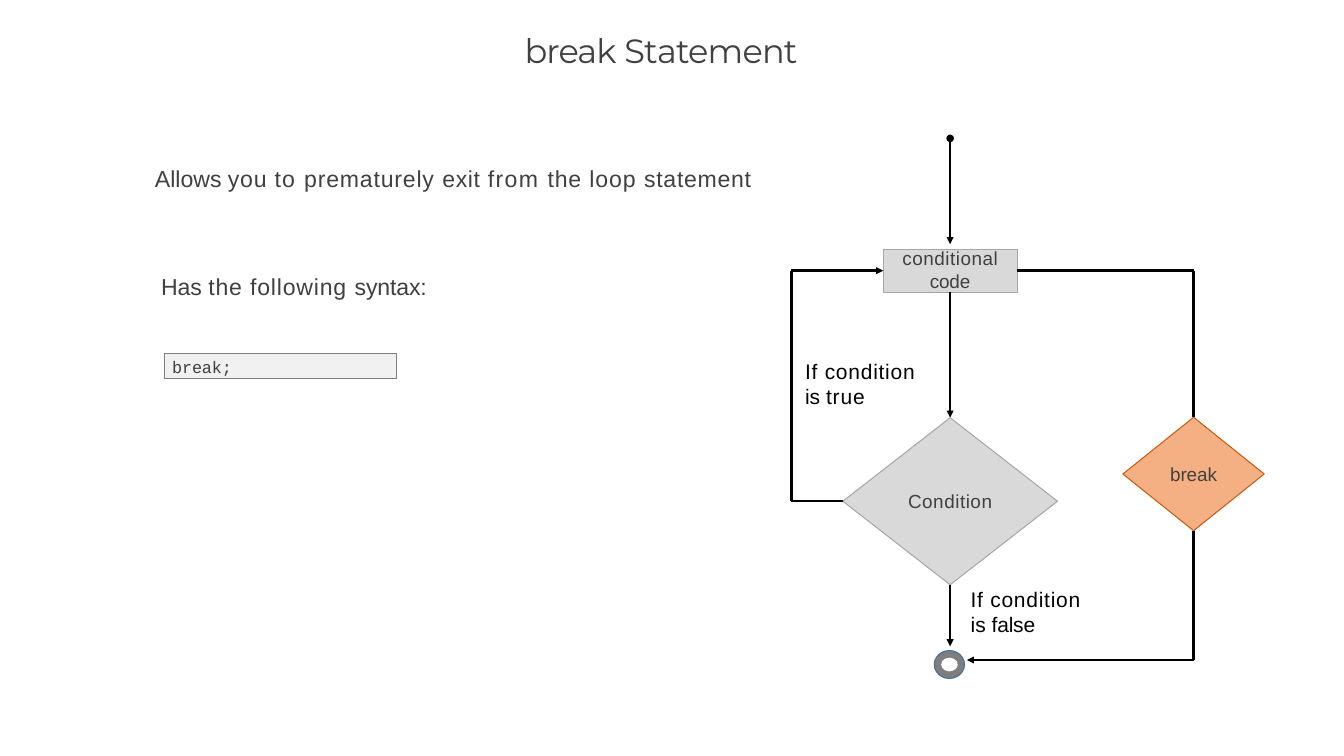
from lxml.etree import SubElement
from pptx import Presentation
from pptx.dml.color import RGBColor
from pptx.enum.shapes import MSO_CONNECTOR, MSO_SHAPE
from pptx.enum.text import MSO_ANCHOR, PP_ALIGN
from pptx.oxml.ns import qn
from pptx.util import Inches, Pt

BLACK = "000000"
DARK = "404040"
GREY = "D9D9D9"
GREY_EDGE = "A6A6A6"
MAIN_X = 12.57
LOOP_X = 10.47
BREAK_X = 15.79
CODE_Y = 3.58
CONDITION_Y = 6.63
END_Y = 8.73


def color(value):
    return RGBColor.from_string(value)


def set_frame(shape, anchor=MSO_ANCHOR.TOP, left=0, top=0.02, wrap=True):
    frame = shape.text_frame
    frame.word_wrap = wrap
    frame.vertical_anchor = anchor
    frame.margin_left, frame.margin_top = Inches(left), Inches(top)
    frame.margin_right = frame.margin_bottom = 0
    return frame


def add_spans(para, spans, size, font="Arial", hue=DARK, align=PP_ALIGN.LEFT):
    para.alignment = align
    for text, spacing in spans:
        span = para.add_run()
        span.text = text
        span.font.name = font
        span.font.size = Pt(size)
        span.font.color.rgb = color(hue)
        span._r.get_or_add_rPr().set("spc", str(round(spacing * 100)))


def add_title(page, spans):
    title = page.shapes.title
    title.left, title.top = Inches(5.61), Inches(0.38)
    title.width, title.height = Inches(6.56), Inches(0.65)
    frame = set_frame(title, left=1.33)
    add_spans(frame.paragraphs[0], spans, 32, "Montserrat")


def add_text(page, left, top, width, height, spans, size, hue=DARK):
    box = page.shapes.add_textbox(
        Inches(left), Inches(top), Inches(width), Inches(height)
    )
    add_spans(set_frame(box).paragraphs[0], spans, size, hue=hue)


def add_node(page, kind, x, y, width, height, fill, edge=None, weight=0.96):
    node = page.shapes.add_shape(
        kind,
        Inches(x - width / 2),
        Inches(y - height / 2),
        Inches(width),
        Inches(height),
    )
    node.shadow.inherit = False
    node.fill.solid()
    node.fill.fore_color.rgb = color(fill)
    if edge:
        node.line.color.rgb = color(edge)
        node.line.width = Pt(weight)
    else:
        node.line.fill.background()
    return node


def add_diamond(page, x, y, width, height, fill, edge, label, spacing):
    diamond = add_node(page, MSO_SHAPE.DIAMOND, x, y, width, height, fill, edge)
    frame = set_frame(diamond, MSO_ANCHOR.MIDDLE, top=0, wrap=False)
    add_spans(frame.paragraphs[0], [(label, spacing)], 18, align=PP_ALIGN.CENTER)
    return diamond


def add_line(page, start, end, begin=None, finish=None, arrow=False):
    line = page.shapes.add_connector(
        MSO_CONNECTOR.STRAIGHT, *[Inches(value) for value in (*start, *end)]
    )
    if begin:
        line.begin_connect(*begin)
    if finish:
        line.end_connect(*finish)
    line.line.color.rgb = color(BLACK)
    line.line.width = Pt(2.28)
    if arrow:
        SubElement(line.line._get_or_add_ln(), qn("a:tailEnd"), type="triangle")
    SubElement(line._element.spPr, qn("a:effectLst"))


def add_syntax(page):
    code = add_node(
        page, MSO_SHAPE.RECTANGLE, 3.71, 4.84, 3.06, 0.32, "F1F1F1", "7E7E7E", 0.72
    )
    frame = set_frame(code, left=0.1, top=0.04)
    add_spans(frame.paragraphs[0], [("break;", -0.1)], 16, "Courier New")


def add_code_node(page):
    node = add_node(
        page, MSO_SHAPE.RECTANGLE, MAIN_X, CODE_Y, 1.77, 0.57, GREY, GREY_EDGE
    )
    frame = set_frame(node, top=0)
    lines = [("conditional", 0.5, 19.4), ("code", -0.2, 21.4)]
    for index, (text, spacing, pitch) in enumerate(lines):
        para = frame.add_paragraph() if index else frame.paragraphs[0]
        para.line_spacing = Pt(pitch)
        add_spans(para, [(text, spacing)], 18, align=PP_ALIGN.CENTER)
    return node


def add_flowchart(page):
    code = add_code_node(page)
    condition = add_diamond(
        page, MAIN_X, CONDITION_Y, 2.84, 2.21, GREY, GREY_EDGE, "Condition", 0.5
    )
    leave = add_diamond(
        page, BREAK_X, 6.27, 1.87, 1.5, "F4B083", "C55A11", "break", -0.1
    )
    add_node(page, MSO_SHAPE.OVAL, MAIN_X, 1.83, 0.1, 0.1, BLACK)
    add_node(page, MSO_SHAPE.OVAL, MAIN_X - 0.01, 8.79, 0.4, 0.37, "7E7E7E", "41709C")
    add_node(page, MSO_SHAPE.OVAL, MAIN_X - 0.01, 8.79, 0.22, 0.18, "FFFFFF")

    loop_top, loop_bottom = (LOOP_X, CODE_Y), (LOOP_X, CONDITION_Y)
    exit_top, exit_bottom = (BREAK_X, CODE_Y), (BREAK_X, END_Y)
    code_mid, condition_mid = (MAIN_X, CODE_Y), (MAIN_X, CONDITION_Y)
    add_line(page, (MAIN_X, 1.83), (MAIN_X, 3.23), arrow=True)
    add_line(page, code_mid, condition_mid, (code, 2), (condition, 0), True)
    add_line(page, condition_mid, (MAIN_X, 8.55), (condition, 2), arrow=True)
    add_line(page, condition_mid, loop_bottom, (condition, 1))
    add_line(page, loop_bottom, loop_top)
    add_line(page, loop_top, code_mid, finish=(code, 1), arrow=True)
    add_line(page, code_mid, exit_top, (code, 3))
    add_line(page, exit_top, exit_bottom, finish=(leave, 0))
    add_line(page, exit_top, exit_bottom, (leave, 2))
    add_line(page, exit_bottom, (12.79, END_Y), arrow=True)

    branches = [
        (10.65, 4.72, [("is ", 0), ("true", 0.8)]),
        (12.84, 7.74, [("is ", 0), ("false", -0.2)]),
    ]
    for left, top, ending in branches:
        spans = [("If condition ", 0.7), *ending]
        add_text(page, left, top, 1.52, 0.7, spans, 20, BLACK)


def main():
    deck = Presentation()
    deck.slide_width, deck.slide_height = Inches(17.78), Inches(10)
    page = deck.slides.add_slide(deck.slide_layouts[5])
    add_title(page, [("break ", -0.9), ("Statement", -0.8)])
    purpose = [
        ("Allows ", 0),
        ("you ", 0.7),
        ("to ", 1.3),
        ("prematurely ", 0.8),
        ("exit ", 0.6),
        ("from ", 1.4),
        ("the ", 0.8),
        ("loop ", 0.9),
        ("statement", 0.7),
    ]
    add_text(page, 2.05, 2.15, 7.93, 0.39, purpose, 22)
    syntax = [("Has ", 0), ("the following ", 0.8), ("syntax:", -0.1)]
    add_text(page, 2.13, 3.58, 3.58, 0.39, syntax, 22)
    add_syntax(page)
    add_flowchart(page)
    deck.save("out.pptx")


if __name__ == "__main__":
    main()
